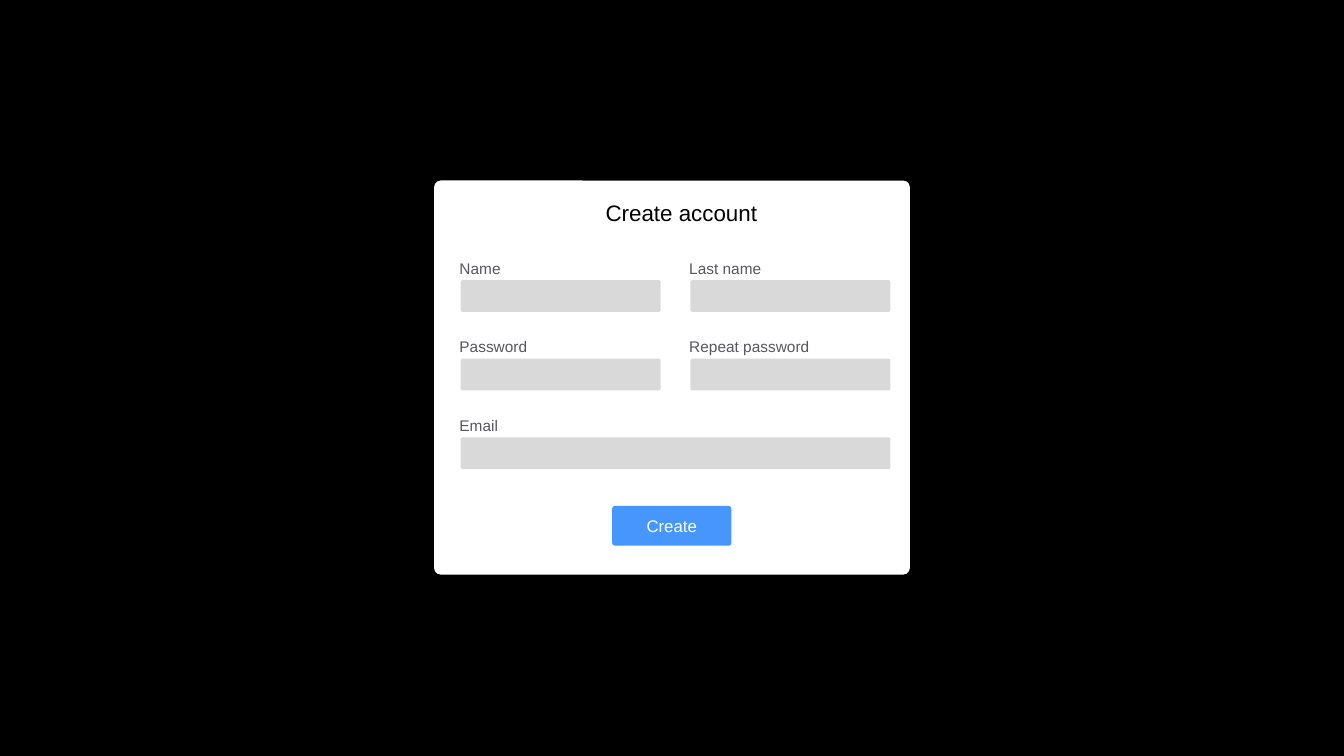
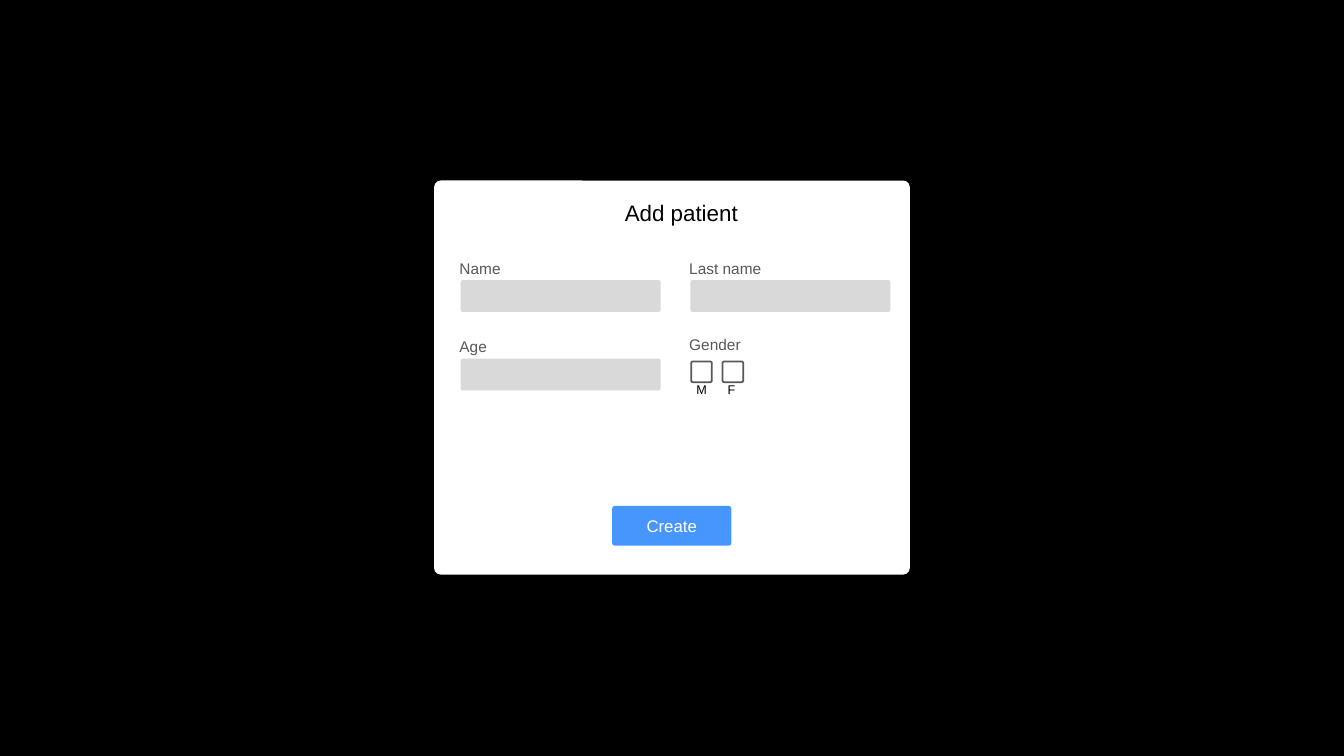
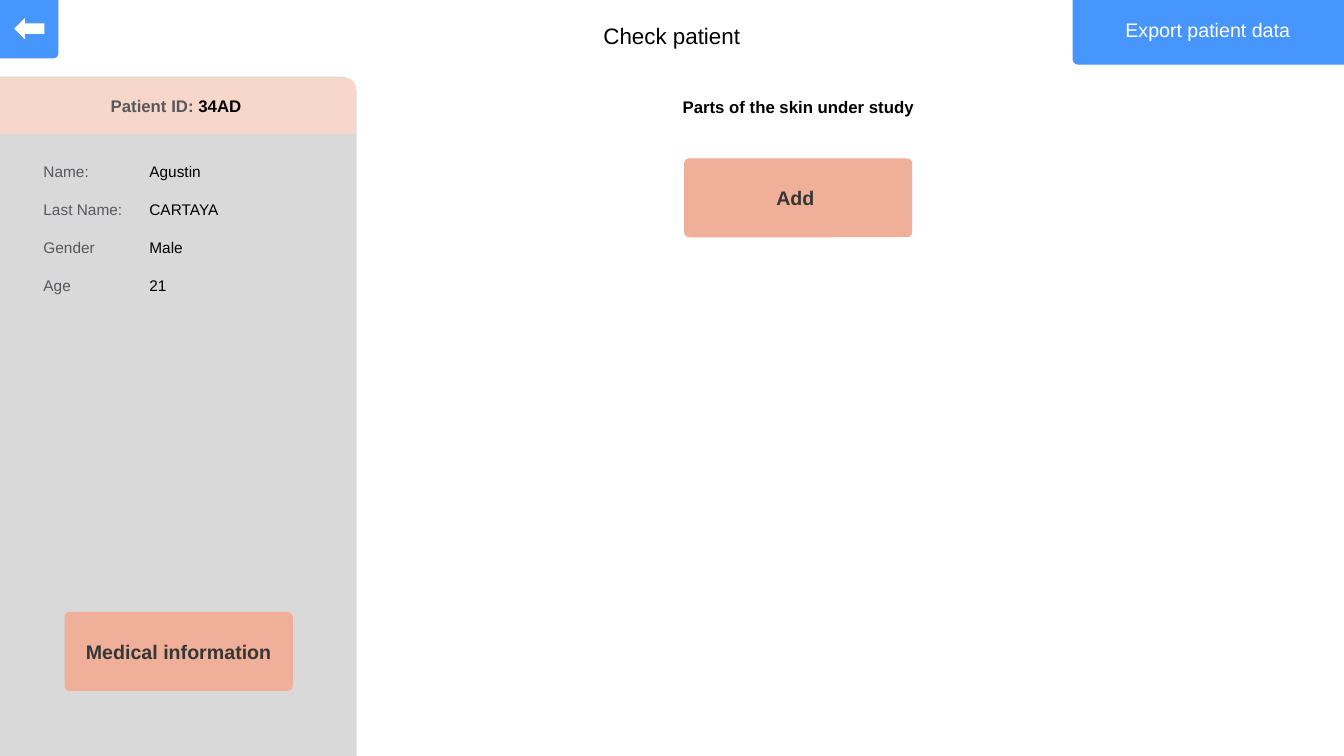
"""Build three screens of a patient record app: two form dialogs and a patient page."""
from pptx import Presentation
from pptx.dml.color import RGBColor
from pptx.enum.shapes import MSO_SHAPE
from pptx.enum.text import MSO_ANCHOR, MSO_AUTO_SIZE, PP_ALIGN
from pptx.oxml.ns import qn
from pptx.util import Cm, Pt

ROUND = MSO_SHAPE.ROUNDED_RECTANGLE
ONE_ROUND = MSO_SHAPE.ROUND_1_RECTANGLE
ARROW = MSO_SHAPE.LEFT_ARROW
TOP, MIDDLE = MSO_ANCHOR.TOP, MSO_ANCHOR.MIDDLE
LEFT, CENTER = PP_ALIGN.LEFT, PP_ALIGN.CENTER
NO_AUTOFIT = MSO_AUTO_SIZE.NONE

FONT = "Arial"
PLAIN_TABLE = "{2D5ABB26-0587-4C30-8999-92F81FD0307C}"
COLORS = {
    "black": "000000",
    "white": "FFFFFF",
    "field": "D9D9D9",
    "label": "57575C",
    "blue": "4696FD",
    "salmon": "F0AF98",
    "peach": "F8D7CB",
    "dark": "363636",
}

FIELD_X, FIELD_Y = 11.61, 7.06
COL_STEP, ROW_STEP = 5.79, 1.98
FIELD_W, FIELD_H = 5.04, 0.8
CHECK_X, CHECK_Y, CHECK_SIZE, CHECK_STEP = 17.42, 9.11, 0.52, 0.79


def rgb(name):
    """Return the named colour."""
    return RGBColor.from_string(COLORS[name])


def format_run(r, size, color, bold=False):
    """Set the font of one run."""
    r.font.name = FONT
    r.font.size = Pt(size)
    r.font.bold = bold
    r.font.color.rgb = rgb(color)


def write(tf, text, size, color, bold=False, align=LEFT, anchor=TOP):
    """Put one formatted paragraph into a text frame and return it."""
    tf.text = text
    tf.vertical_anchor = anchor
    p = tf.paragraphs[0]
    p.alignment = align
    format_run(p.runs[0], size, color, bold)
    return p


def add_box(s, kind, x, y, w, h, fill, corner=None, line=None):
    """Add a flat filled shape, with an outline if a line colour is given."""
    sp = s.shapes.add_shape(kind, Cm(x), Cm(y), Cm(w), Cm(h))
    sp.shadow.inherit = False
    sp.fill.solid()
    sp.fill.fore_color.rgb = rgb(fill)
    if corner is not None:
        sp.adjustments[0] = corner
    if line:
        sp.line.color.rgb = rgb(line)
        sp.line.width = Pt(1.25)
    else:
        sp.line.fill.background()
    return sp


def add_text(s, text, x, y, w, h, size, color, bold=False, align=LEFT):
    """Add a wrapping text box."""
    tf = s.shapes.add_textbox(Cm(x), Cm(y), Cm(w), Cm(h)).text_frame
    tf.word_wrap = True
    write(tf, text, size, color, bold, align)


def add_button(s, text, x, y, w, h, fill, size, color, bold=False):
    """Add a rounded button with a centred caption."""
    sp = add_box(s, ROUND, x, y, w, h, fill, 0.065)
    write(sp.text_frame, text, size, color, bold, CENTER, MIDDLE)


def add_screen(prs, title, center, top, background):
    """Add a title-only slide with its background and centred title."""
    s = prs.slides.add_slide(prs.slide_layouts[5])
    s.background.fill.solid()
    s.background.fill.fore_color.rgb = rgb(background)
    sp = s.shapes.title
    width = 4.4
    sp.left, sp.top, sp.width, sp.height = Cm(center - width / 2), Cm(top), Cm(width), Cm(0.94)
    sp.text_frame.auto_size = NO_AUTOFIT
    sp.text_frame.word_wrap = False
    write(sp.text_frame, title, 16, "black", align=CENTER)
    return s


def add_field(s, label, col, row, span=1):
    """Add a labelled input field at a cell of the form grid."""
    x, y = FIELD_X + col * COL_STEP, FIELD_Y + row * ROW_STEP
    add_box(s, ROUND, x, y, FIELD_W + (span - 1) * COL_STEP, FIELD_H, "field", 0.065)
    add_text(s, label, x - 0.28, y - 0.66, 6.05, 0.74, 11, "label")


def add_dialog(prs, title, fields):
    """Add a form dialog on black with its fields and Create button."""
    s = add_screen(prs, title, 17.17, 4.9, "black")
    card = add_box(s, ROUND, 10.94, 4.55, 11.99, 9.93, "white", 0.017)
    s.shapes.title.element.addprevious(card.element)
    for field in fields:
        add_field(s, *field)
    add_button(s, "Create", 15.43, 12.75, 3, 1, "blue", 12, "white")
    return s


def add_gender(s):
    """Add the gender label and its two check boxes."""
    add_text(s, "Gender", 17.12, 8.33, 5.28, 0.74, 11, "label")
    for i, letter in enumerate("MF"):
        x = CHECK_X + i * CHECK_STEP
        add_box(s, ROUND, x, CHECK_Y, CHECK_SIZE, CHECK_SIZE, "white", 0.076, "label")
        add_text(s, letter, x - 0.12, CHECK_Y + 0.39, 0.74, 0.64, 9, "black")


def add_details(s, rows):
    """Add the borderless table of patient details."""
    frame = s.shapes.add_table(len(rows), 2, Cm(0.84), Cm(3.99), Cm(7.34), Cm(0.96 * len(rows)))
    table = frame.table
    table.first_row = table.horz_banding = False
    frame.element.find(".//" + qn("a:tableStyleId")).text = PLAIN_TABLE
    for column, width in zip(table.columns, (2.67, 4.67)):
        column.width = Cm(width)
    for i, row in enumerate(rows):
        for j, (text, color) in enumerate(zip(row, ("label", "black"))):
            cell = table.cell(i, j)
            cell.fill.background()
            write(cell.text_frame, text, 11, color)


def add_patient_panel(s):
    """Add the side panel with the patient's ID, details and button."""
    add_box(s, ONE_ROUND, 0, 1.93, 8.99, 17.12, "field", 0.043)
    header = add_box(s, ONE_ROUND, -0.02, 1.96, 8.99, 1.42, "peach", 0.185)
    p = write(header.text_frame, "Patient ID: ", 12, "label", True, CENTER, MIDDLE)
    r = p.add_run()
    r.text = "34AD"
    format_run(r, 12, "black", True)
    add_details(s, [
        ("Name:", "Agustin"),
        ("Last Name:", "CARTAYA"),
        ("Gender", "Male"),
        ("Age", "21"),
    ])
    add_button(s, "Medical information", 1.63, 15.42, 5.75, 1.99, "salmon", 14, "dark", True)


def add_corner_buttons(s):
    """Add the back and export buttons in the top corners."""
    add_box(s, ONE_ROUND, -0.03, -0.03, 1.5, 1.5, "blue", 0.081).rotation = 90
    add_box(s, ARROW, 0.36, 0.46, 0.76, 0.53, "white")
    add_box(s, ONE_ROUND, 27.03, 0, 6.84, 1.63, "blue", 0.081).rotation = 180
    add_text(s, "Export patient data", 27.2, 0.33, 6.48, 0.86, 14, "white", align=CENTER)


def main():
    """Build and save the three screens."""
    prs = Presentation()
    prs.slide_width, prs.slide_height = Cm(33.87), Cm(19.05)

    names = [("Name", 0, 0), ("Last name", 1, 0)]
    add_dialog(prs, "Create account", names + [
        ("Password", 0, 1), ("Repeat password", 1, 1), ("Email", 0, 2, 2)])

    s = add_dialog(prs, "Add patient", names + [("Age", 0, 1)])
    add_gender(s)

    s = add_screen(prs, "Check patient", 16.93, 0.43, "white")
    add_patient_panel(s)
    add_corner_buttons(s)
    add_text(s, "Parts of the skin under study", 16.54, 2.31, 7.16, 0.76, 12, "black", True, CENTER)
    add_button(s, "Add ", 17.24, 3.99, 5.75, 1.99, "salmon", 14, "dark", True)

    prs.save("out.pptx")


if __name__ == "__main__":
    main()
